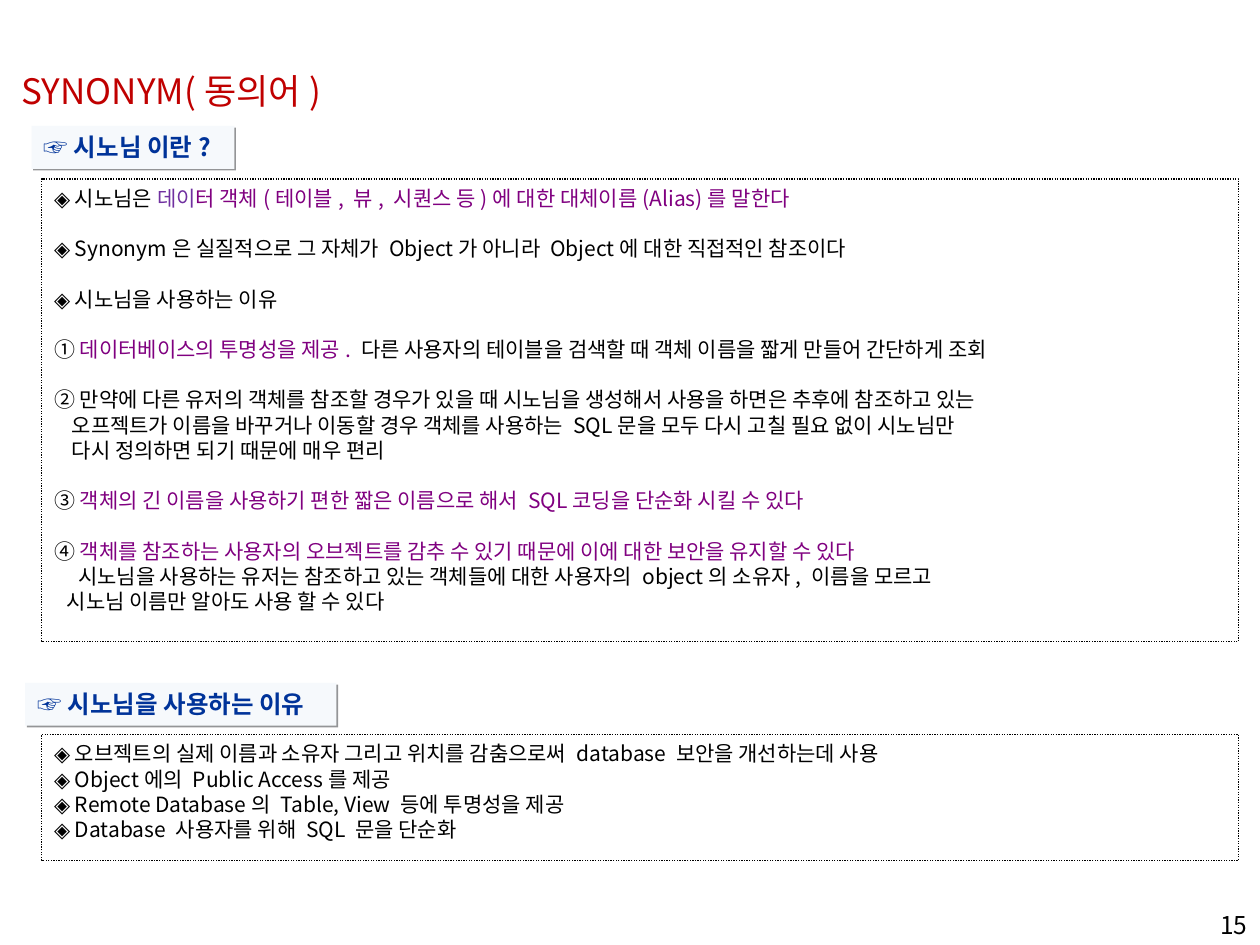
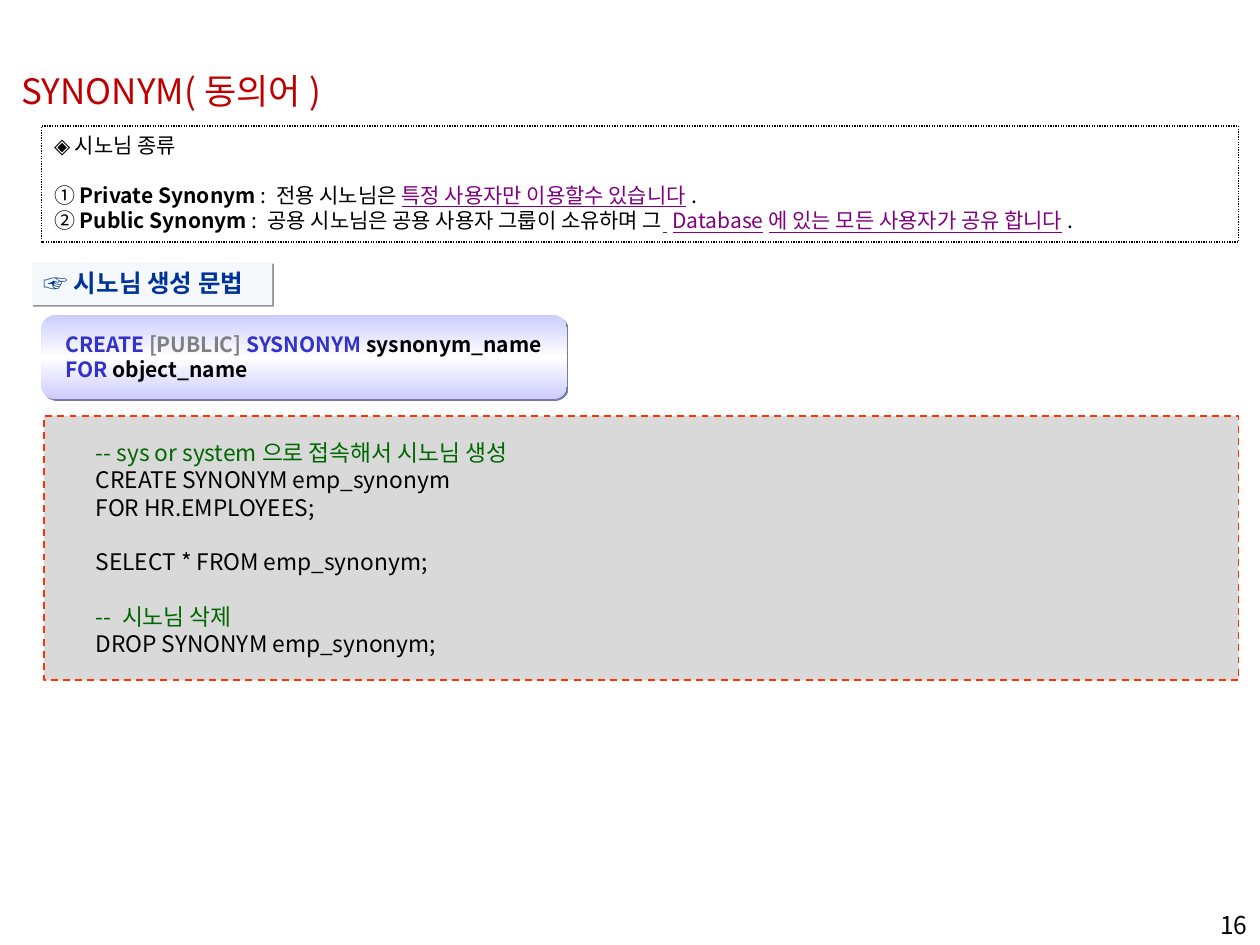
"""Builds two lecture slides about database synonyms."""
from copy import deepcopy
from dataclasses import dataclass

from lxml import etree
from pptx import Presentation
from pptx.dml.color import RGBColor
from pptx.enum.dml import MSO_LINE
from pptx.enum.shapes import MSO_SHAPE
from pptx.enum.text import MSO_ANCHOR, MSO_AUTO_SIZE, PP_ALIGN
from pptx.oxml.ns import qn
from pptx.util import Inches, Pt

RECTANGLE = MSO_SHAPE.RECTANGLE
ROUNDED = MSO_SHAPE.ROUNDED_RECTANGLE
TOP, MIDDLE = MSO_ANCHOR.TOP, MSO_ANCHOR.MIDDLE
LEFT, RIGHT = PP_ALIGN.LEFT, PP_ALIGN.RIGHT
DOTTED, DASHED = MSO_LINE.ROUND_DOT, MSO_LINE.DASH
FIXED_SIZE = MSO_AUTO_SIZE.NONE
TWO_LISTS, ONE_LIST = 3, 1


@dataclass(frozen=True)
class Theme:
    font: str = "Noto Sans CJK KR"
    leading: float = 1.2
    title_size: int = 20
    heading_size: int = 14
    body_size: int = 12
    code_size: int = 13
    ink: str = "000000"
    title: str = "C00000"
    heading: str = "003399"
    heading_fill: str = "F6F9FC"
    heading_shadow: str = "949597"
    accent: str = "800080"
    violet: str = "7030A0"
    keyword: str = "3333CC"
    optional: str = "808080"
    syntax_edge: str = "CCCCFF"
    syntax_center: str = "FFFFFF"
    syntax_shadow: str = "7A7A99"
    code_fill: str = "D9D9D9"
    code_line: str = "FF3300"
    comment: str = "006600"


THEME = Theme()


@dataclass(frozen=True)
class Run:
    text: str
    color: str = THEME.ink
    bold: bool = False
    underline: bool = False


@dataclass(frozen=True)
class Line:
    runs: tuple
    gap: int = 0
    indent: float = 0


def line(*runs, gap=0, indent=0):
    return Line(tuple(Run(r) if isinstance(r, str) else r for r in runs), gap, indent)


def accent(text, underline=False):
    return Run(text, THEME.accent, underline=underline)


def rgb(color):
    return RGBColor.from_string(color)


def write(shape, lines, *, size, align=LEFT, anchor=TOP, margins=(0.1, 0.05), wrap=True):
    frame = shape.text_frame
    frame.auto_size = FIXED_SIZE
    frame.word_wrap = wrap
    frame.vertical_anchor = anchor
    frame.margin_left = frame.margin_right = Inches(margins[0])
    frame.margin_top = frame.margin_bottom = Inches(margins[1])
    line_height = size * THEME.leading
    for index, content in enumerate(lines):
        paragraph = frame.add_paragraph() if index else frame.paragraphs[0]
        paragraph.alignment = align
        paragraph.line_spacing = Pt(line_height)
        paragraph.space_before = Pt(content.gap * line_height)
        properties = paragraph._p.get_or_add_pPr()
        properties.set("marL", str(Inches(content.indent)))
        properties.set("indent", "0")
        etree.SubElement(properties, qn("a:buNone"))
        for piece in content.runs:
            run = paragraph.add_run()
            run.text = piece.text
            run.font.size = Pt(size)
            run.font.bold = piece.bold
            run.font.underline = piece.underline
            run.font.color.rgb = rgb(piece.color)
            run.font.name = THEME.font
            east_asian = etree.SubElement(run._r.get_or_add_rPr(), qn("a:ea"))
            east_asian.set("typeface", THEME.font)


class Deck:
    def __init__(self):
        self.presentation = Presentation()
        self.presentation.slide_width = Inches(10)
        self.presentation.slide_height = Inches(7.5)
        self.slide = None

    def new_slide(self, layout, title, number):
        self.slide = self.presentation.slides.add_slide(
            self.presentation.slide_layouts[layout])
        heading = self.slide.shapes.title
        self.place(heading, 0.07, 0.5, 2.72, 0.44)
        write(heading, [line(Run(title, THEME.title))], size=THEME.title_size, wrap=False)
        page = self.text_box(7.92, 7.17, 2.08, 0.5)
        write(page, [line(str(number))], size=THEME.heading_size, align=RIGHT)

    def place(self, shape, left, top, width, height):
        shape.left, shape.top = Inches(left), Inches(top)
        shape.width, shape.height = Inches(width), Inches(height)

    def text_box(self, left, top, width, height):
        return self.slide.shapes.add_textbox(
            Inches(left), Inches(top), Inches(width), Inches(height))

    def panel(self, kind, left, top, width, height):
        shape = self.slide.shapes.add_shape(
            kind, Inches(left), Inches(top), Inches(width), Inches(height))
        shape.shadow.inherit = False
        shape.line.fill.background()
        return shape

    def outline(self, shape, color, width, dash):
        shape.line.color.rgb = rgb(color)
        shape.line.width = Pt(width)
        shape.line.dash_style = dash

    def drop_shadow(self, shape, color):
        effects = shape._element.spPr.find(qn("a:effectLst"))
        shadow = etree.SubElement(effects, qn("a:outerShdw"), blurRad="0",
                                  dist=str(Pt(1.4)), dir="2700000",
                                  algn="ctr", rotWithShape="0")
        etree.SubElement(shadow, qn("a:srgbClr"), val=color)

    def heading(self, text, left, top, width):
        label = self.panel(RECTANGLE, left, top, width, 0.34)
        label.fill.solid()
        label.fill.fore_color.rgb = rgb(THEME.heading_fill)
        self.drop_shadow(label, THEME.heading_shadow)
        write(label, [line(Run(f"☞ {text}", THEME.heading, bold=True))],
              size=THEME.heading_size, wrap=False)

    def framed_list(self, slot, top, height, lines):
        body = self.slide.placeholders[slot]
        self.place(body, 0.33, top, 9.5, height)
        self.outline(body, THEME.ink, 0.75, DOTTED)
        write(body, lines, size=THEME.body_size)

    def syntax(self, lines):
        plate = self.panel(ROUNDED, 0.33, 2.5, 4.17, 0.67)
        plate.fill.gradient()
        plate.fill.gradient_angle = 90
        stops = plate._element.spPr.find(".//" + qn("a:gsLst"))
        stops.insert(1, deepcopy(stops[0]))
        colors = (THEME.syntax_edge, THEME.syntax_center, THEME.syntax_edge)
        for index, (stop, color) in enumerate(zip(plate.fill.gradient_stops, colors)):
            stop.position = index / 2
            stop.color.rgb = rgb(color)
        self.drop_shadow(plate, THEME.syntax_shadow)
        write(self.text_box(0.42, 2.58, 4.08, 0.5), lines, size=THEME.body_size)

    def code(self, lines):
        listing = self.panel(RECTANGLE, 0.35, 3.3, 9.48, 2.1)
        listing.fill.solid()
        listing.fill.fore_color.rgb = rgb(THEME.code_fill)
        self.outline(listing, THEME.code_line, 1, DASHED)
        write(listing, lines, size=THEME.code_size, anchor=MIDDLE, margins=(0.41, 0.08))


def build_definition(deck):
    deck.new_slide(TWO_LISTS, "SYNONYM(동의어)", 15)
    deck.framed_list(1, 1.42, 3.67, [
        line("◈ 시노님은 ", Run("데이", THEME.violet),
             accent("터 객체(테이블, 뷰, 시퀀스 등)에 대한 대체이름(Alias)를 말한다")),
        line("◈ Synonym은 실질적으로 그 자체가 Object가 아니라 Object에 대한 직접적인 참조이다", gap=1),
        line("◈ 시노님을 사용하는 이유", gap=1),
        line("① ", accent("데이터베이스의 투명성을 제공. "),
             "다른 사용자의 테이블을 검색할 때 객체 이름을 짧게 만들어 간단하게 조회", gap=1),
        line("② 만약에 다른 유저의 객체를 참조할 경우가 있을 때 시노님을 생성해서 사용을 하면은 "
             "추후에 참조하고 있는", gap=1),
        line("오프젝트가 이름을 바꾸거나 이동할 경우 객체를 사용하는 SQL문을 모두 "
             "다시 고칠 필요 없이 시노님만", indent=0.14),
        line("다시 정의하면 되기 때문에 매우 편리", indent=0.14),
        line("③ ", accent("객체의 긴 이름을 사용하기 편한 짧은 이름으로 해서 "
                          "SQL코딩을 단순화 시킬 수 있다"), gap=1),
        line("④ ", accent("객체를 참조하는 사용자의 오브젝트를 감추 수 있기 때문에 "
                          "이에 대한 보안을 유지할 수 있다"), gap=1),
        line("시노님을 사용하는 유저는 참조하고 있는 객체들에 대한 사용자의 "
             "object의 소유자, 이름을 모르고", indent=0.19),
        line("시노님 이름만 알아도 사용 할 수 있다", indent=0.1),
    ])
    deck.heading("시노님 이란?", 0.25, 1, 1.61)
    deck.framed_list(2, 5.83, 1, [
        line("◈ 오브젝트의 실제 이름과 소유자 그리고 위치를 감춤으로써 database 보안을 개선하는데 사용"),
        line("◈ Object에의 Public Access를 제공"),
        line("◈ Remote Database의 Table, View 등에 투명성을 제공"),
        line("◈ Database 사용자를 위해 SQL 문을 단순화"),
    ])
    deck.heading("시노님을 사용하는 이유", 0.2, 5.42, 2.47)


def build_syntax(deck):
    deck.new_slide(ONE_LIST, "SYNONYM(동의어)", 16)
    deck.framed_list(1, 1, 0.92, [
        line("◈ 시노님 종류"),
        line("① ", Run("Private Synonym ", bold=True), ": 전용 시노님은 ",
             accent("특정 사용자만 이용할수 있습니다", underline=True), ".", gap=1),
        line("② ", Run("Public Synonym ", bold=True),
             ": 공용 시노님은 공용 사용자 그룹이 소유하며 그",
             accent(" Database에 있는 모든 사용자가 공유 합니다", underline=True), "."),
    ])
    deck.heading("시노님 생성 문법", 0.25, 2.08, 1.91)
    deck.syntax([
        line(Run("CREATE ", THEME.keyword, bold=True),
             Run("[PUBLIC]", THEME.optional, bold=True),
             Run(" SYSNONYM ", THEME.keyword, bold=True),
             Run("sysnonym_name", bold=True)),
        line(Run("FOR ", THEME.keyword, bold=True), Run("object_name", bold=True)),
    ])
    deck.code([
        line(Run("-- sys or system으로 접속해서 시노님 생성", THEME.comment)),
        line("CREATE SYNONYM emp_synonym"),
        line("FOR HR.EMPLOYEES;"),
        line("SELECT * FROM emp_synonym;", gap=1),
        line(Run("-- 시노님 삭제", THEME.comment), gap=1),
        line("DROP SYNONYM emp_synonym;"),
    ])


def main():
    deck = Deck()
    build_definition(deck)
    build_syntax(deck)
    deck.presentation.save("out.pptx")


if __name__ == "__main__":
    main()
